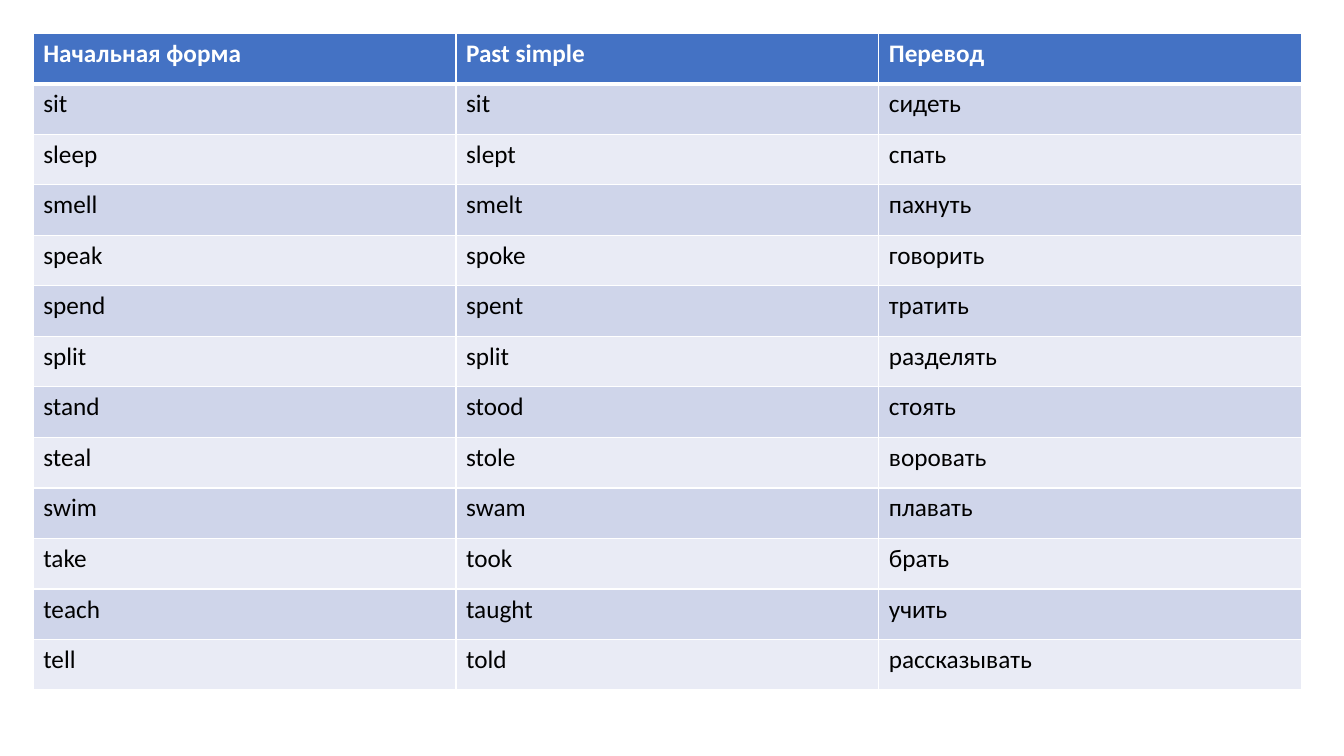
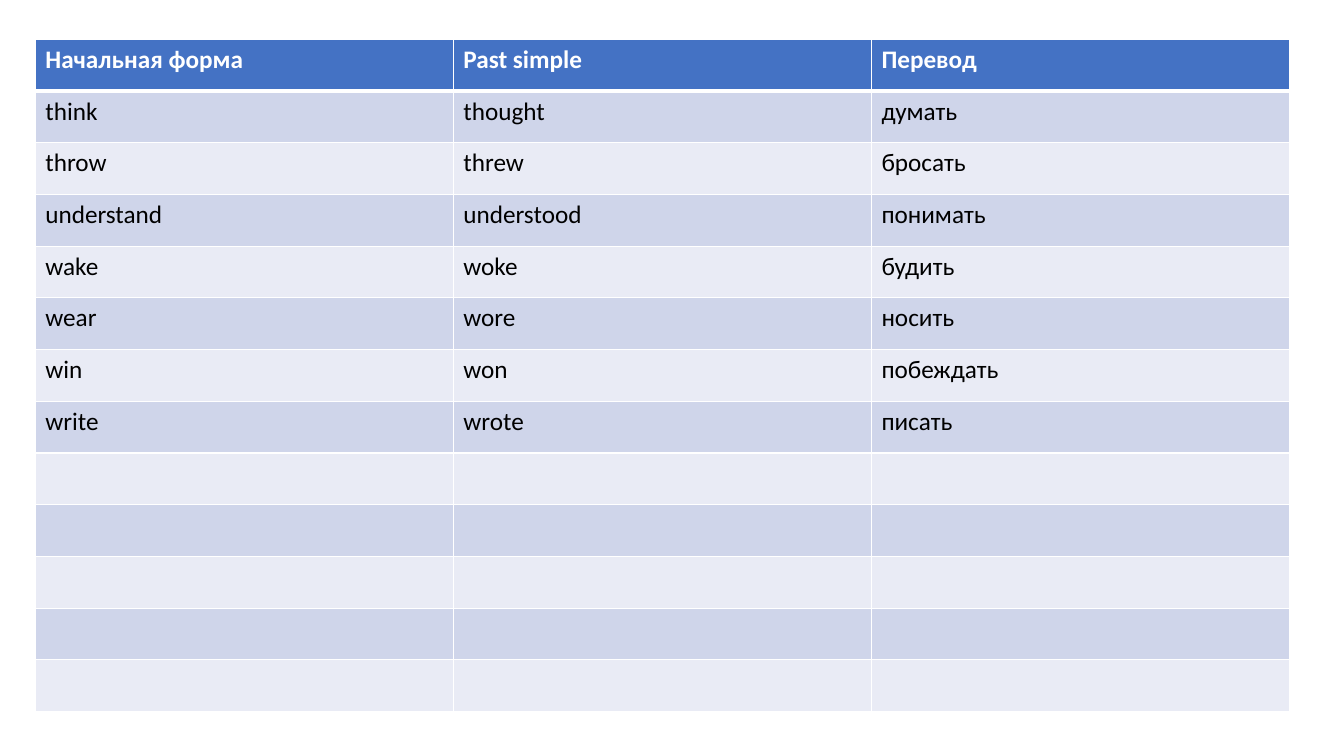
from lxml import etree
from pptx import Presentation
from pptx.dml.color import RGBColor
from pptx.oxml import ns
from pptx.util import Inches, Pt

WHITE = RGBColor(0xFF, 0xFF, 0xFF)
BLACK = RGBColor(0x00, 0x00, 0x00)
HEADER_BLUE = RGBColor(0x44, 0x72, 0xC4)
BAND_DARK = RGBColor(0xCF, 0xD5, 0xEA)
BAND_LIGHT = RGBColor(0xE9, 0xEB, 0xF5)

HEADINGS = ("Начальная форма", "Past simple", "Перевод")
ROW_COUNT = 13
VERB_TABLES = [
    {
        "left": 0.33, "top": 0.33, "width": 12.58, "height": 6.52,
        "verbs": [
            ("sit", "sit", "сидеть"),
            ("sleep", "slept", "спать"),
            ("smell", "smelt", "пахнуть"),
            ("speak", "spoke", "говорить"),
            ("spend", "spent", "тратить"),
            ("split", "split", "разделять"),
            ("stand", "stood", "стоять"),
            ("steal", "stole", "воровать"),
            ("swim", "swam", "плавать"),
            ("take", "took", "брать"),
            ("teach", "taught", "учить"),
            ("tell", "told", "рассказывать"),
        ],
    },
    {
        "left": 0.35, "top": 0.39, "width": 12.44, "height": 6.67,
        "verbs": [
            ("think", "thought", "думать"),
            ("throw", "threw", "бросать"),
            ("understand", "understood", "понимать"),
            ("wake", "woke", "будить"),
            ("wear", "wore", "носить"),
            ("win", "won", "побеждать"),
            ("write", "wrote", "писать"),
        ],
    },
]


def write_text(cell, text, size=18, color=BLACK, bold=False, font="Calibri"):
    run = cell.text_frame.paragraphs[0].add_run()
    run.text = text
    run.font.name = font
    run.font.size = Pt(size)
    run.font.bold = bold
    run.font.color.rgb = color


def set_borders(cell, top=1, bottom=1):
    properties = cell._tc.get_or_add_tcPr()
    for side, width in (("L", 1), ("R", 1), ("T", top), ("B", bottom)):
        line = etree.SubElement(properties, ns.qn(f"a:ln{side}"), w=str(Pt(width)))
        fill = etree.SubElement(line, ns.qn("a:solidFill"))
        etree.SubElement(fill, ns.qn("a:srgbClr"), val=str(WHITE))


presentation = Presentation()
presentation.slide_width = Inches(13.33)
presentation.slide_height = Inches(7.5)
blank_layout = presentation.slide_layouts[6]

for verb_table in VERB_TABLES:
    slide = presentation.slides.add_slide(blank_layout)
    left, top, width, height = (
        Inches(verb_table[name]) for name in ("left", "top", "width", "height")
    )
    table = slide.shapes.add_table(
        ROW_COUNT, len(HEADINGS), left, top, width, height
    ).table
    lines = [HEADINGS] + verb_table["verbs"]

    for row_index, row in enumerate(table.rows):
        is_header = row_index == 0
        if is_header:
            row_fill = HEADER_BLUE
        else:
            row_fill = BAND_DARK if row_index % 2 else BAND_LIGHT

        for column_index, cell in enumerate(row.cells):
            set_borders(
                cell,
                top=3 if row_index == 1 else 1,
                bottom=3 if is_header else 1,
            )
            cell.fill.solid()
            cell.fill.fore_color.rgb = row_fill
            if row_index < len(lines):
                write_text(
                    cell,
                    lines[row_index][column_index],
                    color=WHITE if is_header else BLACK,
                    bold=is_header,
                )

presentation.save("out.pptx")
